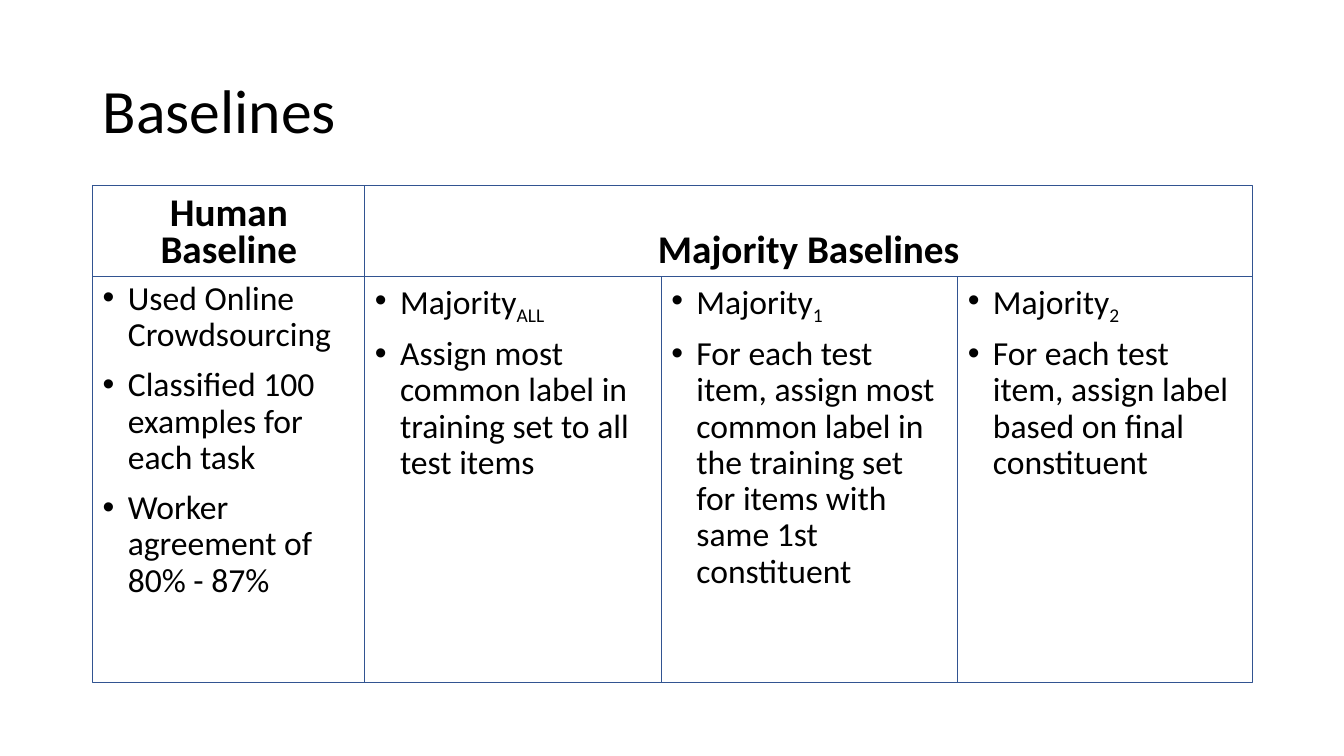
import pptx
import pptx.util
import pptx.dml.color
import pptx.enum.shapes
import pptx.enum.text
from lxml import etree

Inches, Pt = pptx.util.Inches, pptx.util.Pt
Color = pptx.dml.color.RGBColor
Align = pptx.enum.text.PP_ALIGN
Anchor = pptx.enum.text.MSO_ANCHOR

BLACK = Color(0x00, 0x00, 0x00)
BLUE = Color(0x32, 0x54, 0x91)


def write(para, text, sub="", size=24, bold=False, align=Align.LEFT,
          lead=0.9, gap=0, bullet=False):
    """Fill a paragraph with text and an optional subscript."""
    props = para._p.get_or_add_pPr()
    if bullet:
        props.set("marL", str(Inches(0.25)))
        props.set("indent", str(-Inches(0.25)))
        for tag, key, value in (("a:buFont", "typeface", "Arial"),
                                ("a:buChar", "char", "•")):
            etree.SubElement(props, pptx.oxml.ns.qn(tag)).set(key, value)
    para.alignment = align
    para.line_spacing = lead
    para.space_before = Pt(gap)
    for part in filter(None, (text, sub)):
        run = para.add_run()
        run.text = part
        font = run.font
        font.name, font.size, font.bold = "Calibri", Pt(size), bold
        font.color.rgb = BLACK
        if part == sub:
            run._r.get_or_add_rPr().set("baseline", "-25000")


class Deck:
    def __init__(self):
        self.prs = pptx.Presentation()
        self.prs.slide_width = Inches(13.33)
        self.prs.slide_height = Inches(7.5)
        self.slide = self.prs.slides.add_slide(self.prs.slide_layouts[5])

    def title(self, text, left, top, width, height):
        shape = self.slide.shapes.title
        shape.left, shape.top = Inches(left), Inches(top)
        shape.width, shape.height = Inches(width), Inches(height)
        frame = shape.text_frame
        frame.vertical_anchor = Anchor.MIDDLE
        write(frame.paragraphs[0], text, size=44)

    def box(self, left, top, width, height, anchor):
        shape = self.slide.shapes.add_shape(
            pptx.enum.shapes.MSO_SHAPE.RECTANGLE,
            Inches(left), Inches(top), Inches(width), Inches(height))
        shape.shadow.inherit = False
        shape.fill.background()
        shape.line.color.rgb = BLUE
        shape.line.width = Pt(0.75)
        frame = shape.text_frame
        frame.word_wrap = True
        frame.vertical_anchor = anchor
        return frame

    def head(self, text, left, width):
        frame = self.box(left, 1.84, width, 0.9, Anchor.BOTTOM)
        write(frame.paragraphs[0], text, size=28, bold=True,
              align=Align.CENTER, lead=0.8)

    def list(self, items, left, width):
        frame = self.box(left, 2.74, width, 4.03, Anchor.TOP)
        for i, (text, sub) in enumerate(items):
            para = frame.add_paragraph() if i else frame.paragraphs[0]
            write(para, text, sub, gap=10 if i else 0, bullet=True)


def main():
    deck = Deck()
    deck.title("Baselines", 0.92, 0.4, 11.5, 1.45)

    # Header row
    deck.head("Human Baseline", 0.92, 2.7)
    deck.head("Majority Baselines", 3.62, 8.8)

    # Human baseline
    deck.list([("Used Online Crowdsourcing", ""),
               ("Classified 100 examples for each task", ""),
               ("Worker agreement of 80% - 87%", "")], 0.92, 2.7)

    # Majority baselines, side by side
    rules = [
        ("ALL", 2.94,
         "Assign most common label in training set to all test items"),
        ("1", 2.94,
         "For each test item, assign most common label in the training set "
         "for items with same 1st constituent"),
        ("2", 2.92,
         "For each test item, assign label based on final constituent"),
    ]
    left = 3.62
    for sub, width, text in rules:
        deck.list([("Majority", sub), (text, "")], left, width)
        left += width

    deck.prs.save("out.pptx")


if __name__ == "__main__":
    main()
